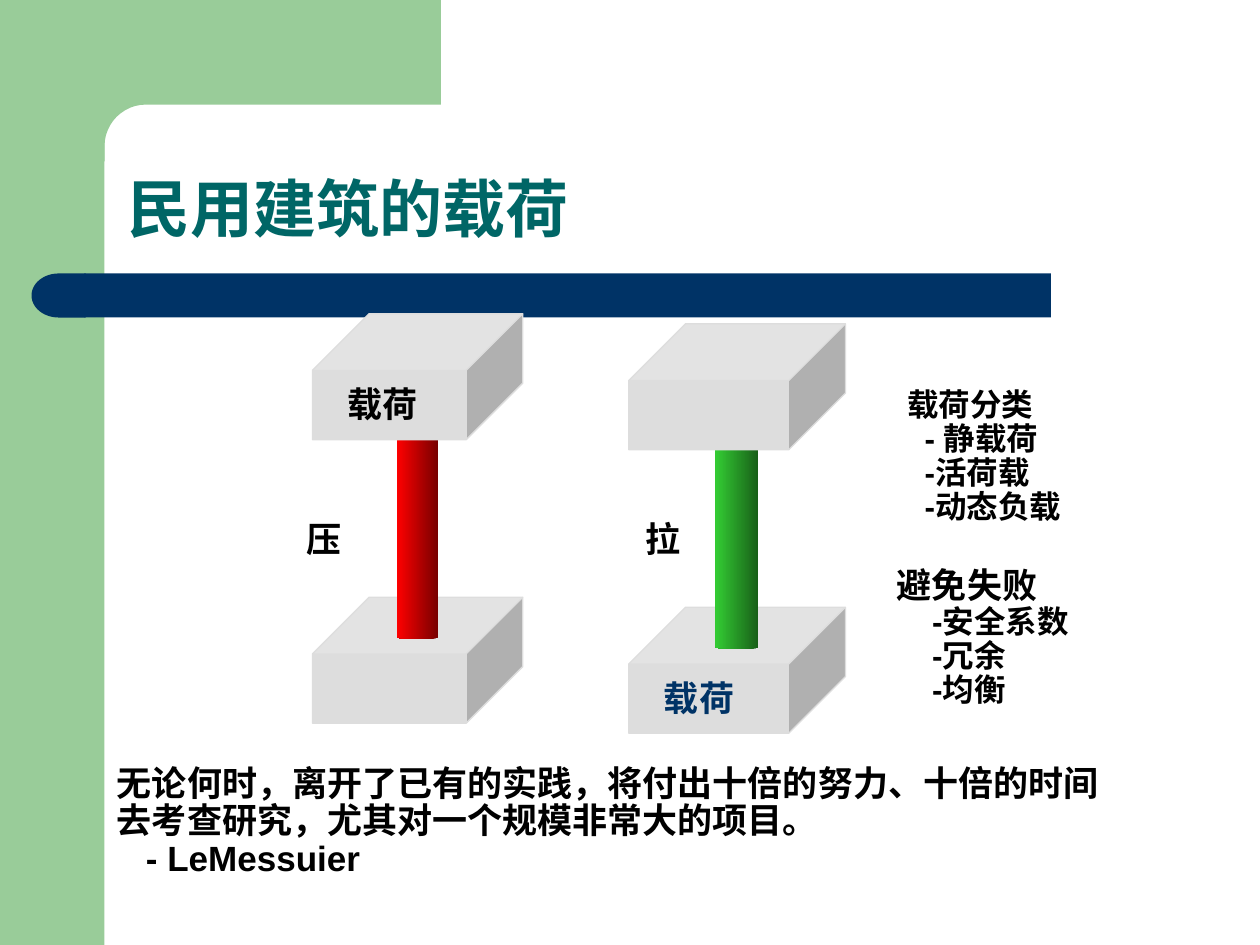
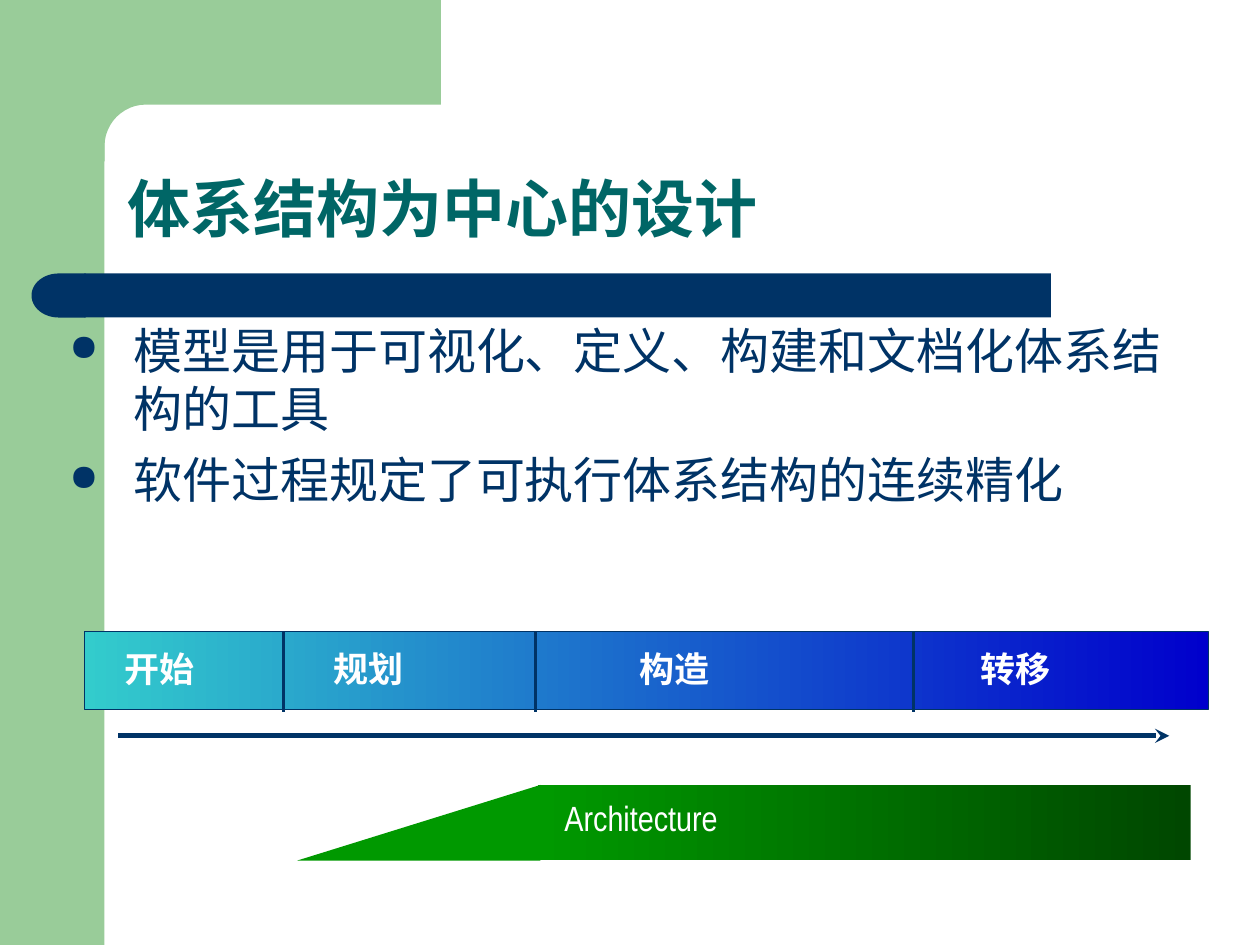
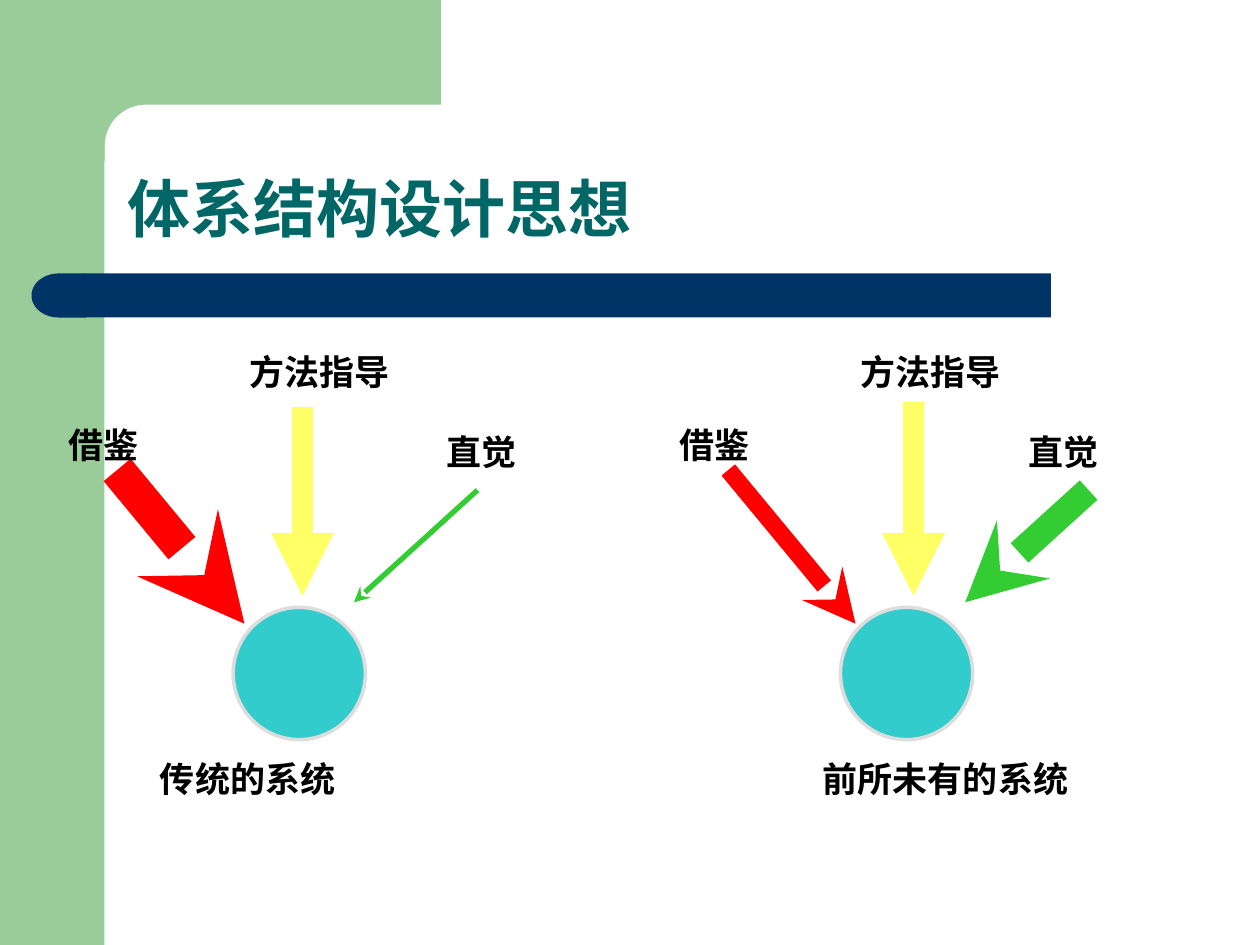
from dataclasses import dataclass
from math import cos, pi, sin

from lxml.etree import SubElement
from pptx import Presentation
from pptx.dml.color import RGBColor
from pptx.enum.shapes import MSO_CONNECTOR as Connector, MSO_SHAPE as Preset
from pptx.enum.text import MSO_ANCHOR as Anchor, MSO_AUTO_SIZE as AutoSize, PP_ALIGN as Align
from pptx.oxml.ns import qn
from pptx.util import Inches, Pt


@dataclass(frozen=True)
class Theme:
    band: str = "99CC99"
    navy: str = "003366"
    title: str = "006666"
    black: str = "000000"
    white: str = "FFFFFF"
    grey: str = "DDDDDD"
    red: str = "FF0000"
    dark_red: str = "760000"
    green: str = "33CC33"
    dark_green: str = "185E18"
    yellow: str = "FFFF66"
    turquoise: str = "33CCCC"
    blue: str = "0000CC"
    leaf: str = "009900"
    dark_leaf: str = "004700"
    font: str = "Arial"
    narrow_font: str = "Arial Narrow"
    title_size: int = 36
    body_size: int = 28
    label_size: int = 20
    item_size: int = 18


THEME = Theme()


def rgb(value):
    return RGBColor.from_string(value)


def style_font(paragraph, size, color=THEME.black, bold=True, name=THEME.font):
    font = paragraph.font
    font.name, font.size, font.bold = name, Pt(size), bold
    font.color.rgb = rgb(color)


def add_shape(slide, preset, box, fill=None, line=None, line_width=0.75, adjustment=None):
    """A fill is a colour, a (right, left) gradient pair, or None for no fill."""
    shape = slide.shapes.add_shape(preset, *map(Inches, box))
    if adjustment is not None:
        shape.adjustments[0] = adjustment
    paint(shape, fill, line, line_width)
    return shape


def paint(shape, fill, line=None, line_width=0.75):
    shape.shadow.inherit = False
    if fill is None:
        shape.fill.background()
    elif isinstance(fill, tuple):
        shape.fill.gradient()
        shape.fill.gradient_angle = 180
        for stop, color in zip(shape.fill.gradient_stops, fill):
            stop.color.rgb = rgb(color)
    else:
        shape.fill.solid()
        shape.fill.fore_color.rgb = rgb(fill)
    if line is None:
        shape.line.fill.background()
    else:
        shape.line.color.rgb = rgb(line)
        shape.line.width = Pt(line_width)


def add_line(slide, start, end, color, width, head=None):
    line = slide.shapes.add_connector(Connector.STRAIGHT, *map(Inches, (*start, *end)))
    line.line.color.rgb = rgb(color)
    line.line.width = Pt(width)
    properties = line.element.spPr
    if head:
        SubElement(properties.find(qn("a:ln")), qn("a:tailEnd"), type=head)
    SubElement(properties, qn("a:effectLst"))


def add_text_frame(slide, box, wrap=False, inset=(0.1, 0.05)):
    frame = slide.shapes.add_textbox(*map(Inches, box)).text_frame
    frame.word_wrap = wrap
    frame.auto_size = AutoSize.NONE if wrap else AutoSize.SHAPE_TO_FIT_TEXT
    frame.margin_left = frame.margin_right = Inches(inset[0])
    frame.margin_top = frame.margin_bottom = Inches(inset[1])
    return frame


def add_paragraphs(frame, texts):
    for index, text in enumerate(texts):
        paragraph = frame.add_paragraph() if index else frame.paragraphs[0]
        paragraph.text = text
        yield paragraph


def set_indent(paragraph, left, first=0):
    properties = paragraph._p.get_or_add_pPr()
    properties.set("marL", str(Inches(left)))
    properties.set("indent", str(Inches(first)))
    return properties


def add_label(slide, left, top, text, color=THEME.black, inset=0.11, name=THEME.font):
    width = 2 * inset + 0.28 * len(text)
    frame = add_text_frame(slide, (left, top, width, 0.44), inset=(inset, 0.05))
    frame.text = text
    style_font(frame.paragraphs[0], THEME.label_size, color, name=name)


def add_headed_lines(slide, box, texts, sizes, indent, wrap=False):
    """The first line is flush left; the ones below it are indented."""
    frame = add_text_frame(slide, box, wrap)
    for index, paragraph in enumerate(add_paragraphs(frame, texts)):
        if index:
            set_indent(paragraph, indent)
        paragraph.line_spacing = 0.9
        style_font(paragraph, sizes[min(index, 1)])


def decorate_layout(layout, slide):
    """Builds the green frame and navy bar, then moves them to the layout."""
    side = add_shape(slide, Preset.RECTANGLE, (0, 0, 0.83, 7.5), THEME.band)
    radius, steps = 0.33, 12
    center_x, center_y = 0.83 + radius, 0.83 + radius
    angles = [pi / 2 * step / steps for step in range(steps + 1)]
    arc = [(center_x - radius * sin(a), center_y - radius * cos(a)) for a in angles]
    outline = [(3.5, 0), (3.5, 0.83), *arc, (0.83, 1.28), (0.5, 1.28)]
    builder = slide.shapes.build_freeform(Inches(0.5), 0)
    builder.add_line_segments([(Inches(x), Inches(y)) for x, y in outline], close=True)
    corner = builder.convert_to_shape()
    paint(corner, THEME.band)
    bar = add_shape(slide, Preset.RECTANGLE, (0.67, 2.17, 7.67, 0.35), THEME.navy)
    cap = add_shape(slide, Preset.FLOWCHART_DELAY, (0.25, 2.17, 0.43, 0.35), THEME.navy)
    cap.rotation = 180
    for position, shape in enumerate((side, corner, bar, cap), start=2):
        layout.shapes.element.insert(position, shape.element)


def add_titled_slide(presentation, layout, text):
    slide = presentation.slides.add_slide(layout)
    title = slide.shapes.title
    title.left, title.top, title.width, title.height = map(Inches, (0.91, 0.91, 8.51, 1.09))
    frame = title.text_frame
    frame.text = text
    frame.vertical_anchor = Anchor.BOTTOM
    frame.auto_size = AutoSize.NONE
    paragraph = frame.paragraphs[0]
    paragraph.alignment = Align.LEFT
    paragraph.line_spacing = 0.9
    style_font(paragraph, THEME.title_size, THEME.title)
    return slide


def add_loaded_column(slide, left, top, width, colors, force, force_offset, load_color, load_below):
    """A column between two blocks, with the load named on one of them."""
    block_gap = 2.25

    def add_block(block_top):
        add_shape(slide, Preset.CUBE, (left, block_top, width, 1),
                  THEME.grey, THEME.grey, adjustment=0.45)

    add_block(top + block_gap)
    add_shape(slide, Preset.CAN, (left + 0.4 * width, top + 0.83, 0.2 * width, 1.75),
              colors, adjustment=0.08)
    add_block(top)
    load_top = top + 0.5 + (block_gap if load_below else 0)
    add_label(slide, left + 0.17, load_top, "载荷", load_color)
    add_label(slide, left + force_offset, 4.06, force)


def fill_loads_slide(slide):
    add_loaded_column(slide, 2.48, 2.49, 1.67, (THEME.dark_red, THEME.red),
                      "压", -0.16, THEME.black, load_below=False)
    add_loaded_column(slide, 4.99, 2.57, 1.72, (THEME.dark_green, THEME.green),
                      "拉", 0.02, THEME.navy, load_below=True)
    add_headed_lines(slide, (7.1, 3.04, 1.48, 1.18),
                     ["载荷分类", "- 静载荷", "-活荷载", "-动态负载"],
                     (THEME.item_size, THEME.item_size), 0.14)
    add_headed_lines(slide, (7.02, 4.46, 1.62, 1.21),
                     ["避免失败", "-安全系数", "-冗余", "-均衡"],
                     (THEME.label_size, THEME.item_size), 0.28)
    add_headed_lines(slide, (0.83, 6.03, 8.03, 1),
                     ["无论何时，离开了已有的实践，将付出十倍的努力、十倍的时间去考查研究，"
                      "尤其对一个规模非常大的项目。", "- LeMessuier"],
                     (THEME.label_size, THEME.label_size), 0.23, wrap=True)


def add_bullets(slide, box, texts):
    frame = add_text_frame(slide, box, wrap=True, inset=(0.12, 0.06))
    for index, paragraph in enumerate(add_paragraphs(frame, texts)):
        properties = set_indent(paragraph, 0.51, -0.51)
        bullet_color = SubElement(properties, qn("a:buClr"))
        SubElement(bullet_color, qn("a:srgbClr"), val=THEME.navy)
        SubElement(properties, qn("a:buSzPct"), val="75000")
        SubElement(properties, qn("a:buChar"), char="●")
        if index:
            paragraph.space_before = Pt(7)
        style_font(paragraph, THEME.body_size, THEME.navy, bold=False)


def add_phase_band(slide, left, top, width, height):
    box = (left, top, width, height)
    add_shape(slide, Preset.RECTANGLE, box, (THEME.blue, THEME.turquoise))
    add_shape(slide, Preset.RECTANGLE, box, line=THEME.navy)
    for offset in (1.58, 3.58, 6.58):
        x = left + offset
        add_line(slide, (x, top + height + 0.02), (x, top), THEME.navy, 2)
    phases = [("开始", 0.22), ("规划", 1.88), ("构造", 4.31), ("转移", 7.01)]
    for phase, offset in phases:
        add_label(slide, left + offset, top + 0.08, phase, THEME.white, 0.1, THEME.narrow_font)


def add_architecture_wedge(slide, left, top):
    ramp, height = 1.93, 0.6
    add_shape(slide, Preset.ISOSCELES_TRIANGLE, (left, top, ramp, height),
              THEME.leaf, adjustment=1)
    add_shape(slide, Preset.RECTANGLE, (left + ramp - 0.02, top, 5.18, height),
              (THEME.dark_leaf, THEME.leaf))
    frame = add_text_frame(slide, (left + 2.12, top + 0.13, 1.22, 0.3), inset=(0, 0))
    frame.text = "Architecture"
    paragraph = frame.paragraphs[0]
    paragraph.line_spacing = 0.9
    style_font(paragraph, THEME.label_size, THEME.white, False, THEME.narrow_font)


def fill_process_slide(slide):
    add_bullets(slide, (0.43, 2.48, 9.28, 4.02),
                ["模型是用于可视化、定义、构建和文档化体系结构的工具",
                 "软件过程规定了可执行体系结构的连续精化"])
    add_line(slide, (0.94, 5.84), (9.28, 5.84), THEME.navy, 2.75, "stealth")
    add_architecture_wedge(slide, 2.36, 6.23)
    add_phase_band(slide, 0.67, 5.01, 8.92, 0.62)


def add_influences(slide, left, top, borrowing, intuition, guidance_top,
                   circle_left, intuition_left, caption, caption_left):
    """Three arrows onto a system; borrowing and intuition are arrow widths."""
    def at(x, y):
        return left + x, top + y

    add_shape(slide, Preset.OVAL, (*at(circle_left, 2.09), 1.05, 1.05),
              THEME.turquoise, THEME.grey, 2)
    arrows = [
        ((0.5, 1), (1.51, 2.22), THEME.red, borrowing, "stealth"),
        ((3.36, 1.16), (2.38, 2.05), THEME.green, intuition, "stealth"),
        ((1.97, guidance_top), (1.97, 2), THEME.yellow, 12, "triangle"),
    ]
    for start, end, color, width, head in arrows:
        add_line(slide, at(*start), at(*end), color, width, head)
    labels = [
        ("借鉴", 0, 0.58),
        ("方法指导", 1.44, 0),
        ("直觉", intuition_left, 0.64),
        (caption, caption_left, 3.23),
    ]
    for text, x, y in labels:
        add_label(slide, *at(x, y), text)


def fill_thinking_slide(slide):
    add_influences(slide, 0.43, 2.73, borrowing=20, intuition=3, guidance_top=0.5,
                   circle_left=1.42, intuition_left=3,
                   caption="传统的系统", caption_left=0.73)
    add_influences(slide, 5.28, 2.73, borrowing=10, intuition=15, guidance_top=0.46,
                   circle_left=1.39, intuition_left=2.77,
                   caption="前所未有的系统", caption_left=1.14)


def main():
    presentation = Presentation()
    presentation.slide_width, presentation.slide_height = Inches(10), Inches(7.5)
    layout = presentation.slide_layouts[5]
    pages = [
        ("民用建筑的载荷", fill_loads_slide),
        ("体系结构为中心的设计", fill_process_slide),
        ("体系结构设计思想", fill_thinking_slide),
    ]
    for index, (title, fill_slide) in enumerate(pages):
        slide = add_titled_slide(presentation, layout, title)
        if index == 0:
            decorate_layout(layout, slide)
        fill_slide(slide)
    presentation.save("out.pptx")


if __name__ == "__main__":
    main()
